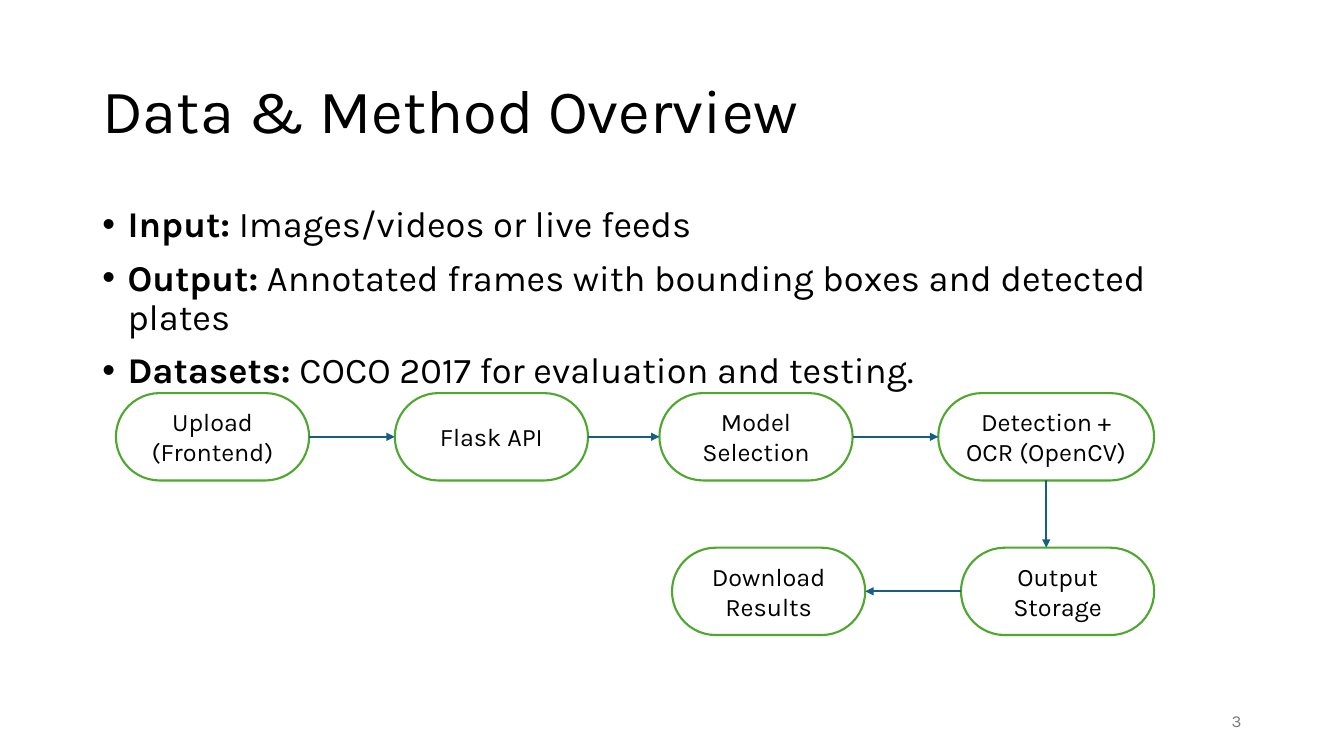
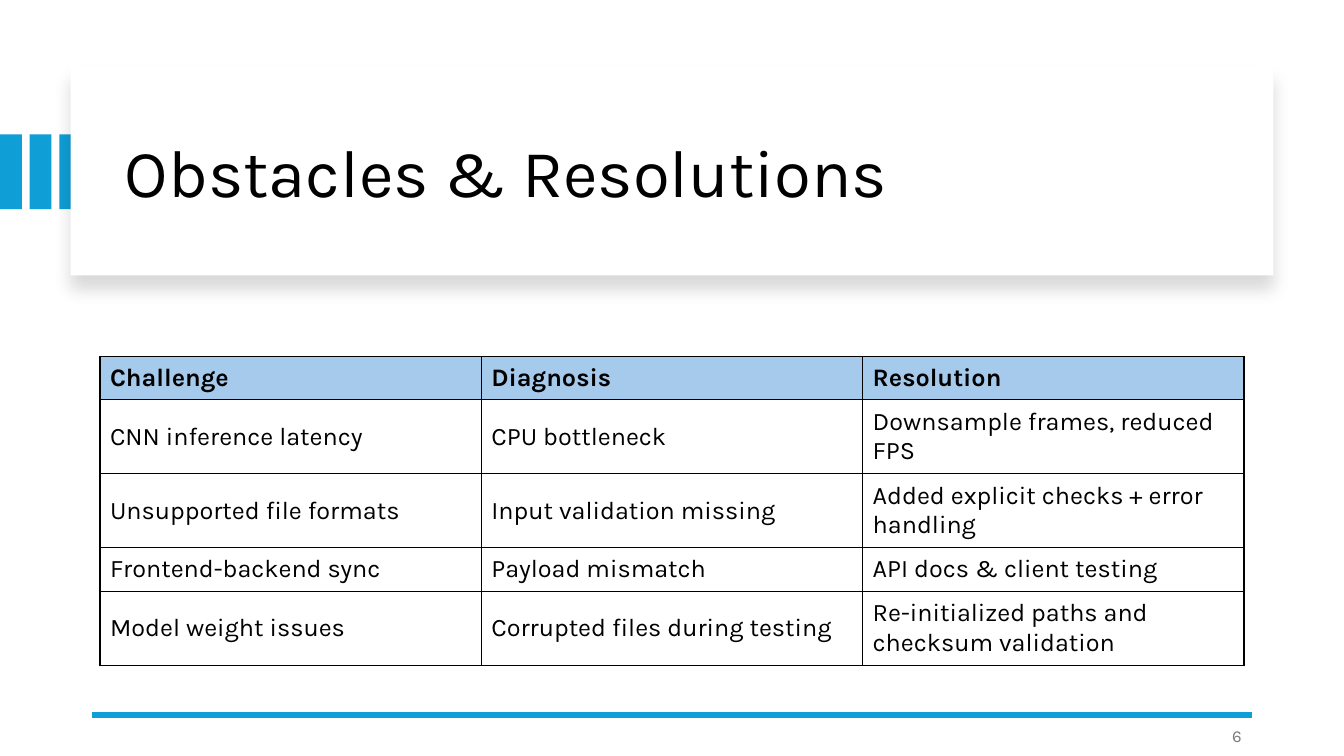
import pptx
import pptx.util
import pptx.dml.color
import pptx.enum.shapes
import pptx.enum.text
import pptx.oxml
import pptx.oxml.ns

WIDE, HIGH = 13.33, 7.5
COLS, ROWS = 80, 45
FONT = "Karla"
BLACK, WHITE, GREY = "000000", "FFFFFF", "797979"
BLUE, GREEN, TEAL, PALE = "0F9ED5", "4EA72E", "156082", "A6CAEC"
LEFT, SPAN = 5.5, 69

SHAPE = pptx.enum.shapes.MSO_SHAPE
ALIGN = pptx.enum.text.PP_ALIGN
MIDDLE = pptx.enum.text.MSO_ANCHOR.MIDDLE
TOP = pptx.enum.text.MSO_ANCHOR.TOP

POINTS = [
    ("Input:", " Images/videos or live feeds"),
    ("Output:", " Annotated frames with bounding boxes and detected plates"),
    ("Datasets:", " COCO 2017 for evaluation and testing."),
]
PILL, BROAD, TALL = 11.5, 12.85, 5.2
UPPER, LOWER = 23.4, 32.6
STEPS = [
    ("Upload (Frontend)", 6.9, UPPER, PILL),
    ("Flask API", 23.5, UPPER, PILL),
    ("Model Selection", 39.25, UPPER, PILL),
    ("Detection + OCR (OpenCV)", 55.85, UPPER, BROAD),
    ("Output Storage", 57.2, LOWER, PILL),
    ("Download Results", 40, LOWER, PILL),
]
ISSUES = [
    ("Challenge", "Diagnosis", "Resolution"),
    ("CNN inference latency", "CPU bottleneck",
     "Downsample frames, reduced FPS"),
    ("Unsupported file formats", "Input validation missing",
     "Added explicit checks + error handling"),
    ("Frontend-backend sync", "Payload mismatch",
     "API docs & client testing"),
    ("Model weight issues", "Corrupted files during testing",
     "Re-initialized paths and checksum validation"),
]


def across(n):
    """Length of n grid columns."""
    return pptx.util.Inches(n * WIDE / COLS)


def down(n):
    """Length of n grid rows."""
    return pptx.util.Inches(n * HIGH / ROWS)


def place(x, y, w, h):
    return across(x), down(y), across(w), down(h)


def color(code):
    return pptx.dml.color.RGBColor.from_string(code)


def node(parent, xml):
    """Append an element given as XML in the a: namespace."""
    head, rest = xml[:-2].partition(" ")[::2]
    space = pptx.oxml.ns.nsdecls("a")
    item = pptx.oxml.parse_xml(f"{head} {space} {rest}/>")
    parent.append(item)
    return item


def write(para, text, size, code=BLACK, bold=False):
    run = para.add_run()
    run.text = text
    run.font.name = FONT
    run.font.size = pptx.util.Pt(size)
    run.font.bold = bold
    run.font.color.rgb = color(code)


def box(slide, area, anchor=MIDDLE):
    frame = slide.shapes.add_textbox(*place(*area)).text_frame
    frame.word_wrap = True
    frame.vertical_anchor = anchor
    return frame


def title(slide, text, area, size):
    para = box(slide, area).paragraphs[0]
    para.line_spacing = 0.9
    write(para, text, size)


def number(slide, text, y):
    para = box(slide, (56.5, y, 18, 2.4)).paragraphs[0]
    para.alignment = ALIGN.RIGHT
    write(para, text, 12, GREY)


def bullets(slide, items, area):
    frame = box(slide, area, TOP)
    for i, (lead, text) in enumerate(items):
        para = frame.add_paragraph() if i else frame.paragraphs[0]
        prop = para._p.get_or_add_pPr()
        prop.set("marL", "228600")
        prop.set("indent", "-228600")
        node(prop, '<a:buFont typeface="Arial"/>')
        node(prop, '<a:buChar char="•"/>')
        para.line_spacing = 0.9
        if i:
            para.space_before = pptx.util.Pt(10)
        write(para, lead, 25.9, bold=True)
        write(para, text, 25.9)


def block(slide, area, fill, kind=SHAPE.RECTANGLE):
    shape = slide.shapes.add_shape(kind, *place(*area))
    shape.shadow.inherit = False
    shape.fill.solid()
    shape.fill.fore_color.rgb = color(fill)
    shape.line.fill.background()
    return shape


def pill(slide, text, x, y, w):
    shape = block(slide, (x, y, w, TALL), WHITE, SHAPE.ROUNDED_RECTANGLE)
    shape.adjustments[0] = 0.5
    shape.line.color.rgb = color(GREEN)
    shape.line.width = pptx.util.Pt(1.5)
    frame = shape.text_frame
    frame.word_wrap = True
    frame.vertical_anchor = MIDDLE
    para = frame.paragraphs[0]
    para.alignment = ALIGN.CENTER
    write(para, text, 18)
    return shape


def line(slide, start, end, code, width):
    kind = pptx.enum.shapes.MSO_CONNECTOR.STRAIGHT
    link = slide.shapes.add_connector(kind, *start, *end)
    link.line.color.rgb = color(code)
    link.line.width = pptx.util.Pt(width)
    node(link._element.spPr, "<a:effectLst/>")
    return link


def arrow(slide, start, end):
    link = line(slide, start, end, TEAL, 1.5)
    stroke = link._element.spPr.find(pptx.oxml.ns.qn("a:ln"))
    node(stroke, '<a:tailEnd type="triangle"/>')
    return link


def join(slide, one, out, two, into):
    """Arrow from side out of one to side into of two."""
    link = arrow(slide, (0, 0), (0, 0))
    link.begin_connect(one, out)
    link.end_connect(two, into)


def drop(slide, one, two):
    """Upright arrow from the foot of one to the top of two."""
    x = one.left + one.width // 2
    link = arrow(slide, (x, one.top + one.height), (x, two.top))
    link.begin_connect(one, 2)


def card(slide, area):
    shape = block(slide, area, WHITE)
    effects = shape._element.spPr.find(pptx.oxml.ns.qn("a:effectLst"))
    shade = node(effects, '<a:outerShdw blurRad="139700" dist="127000"'
                          ' dir="5400000" algn="t" rotWithShape="0"/>')
    tint = node(shade, f'<a:srgbClr val="{BLACK}"/>')
    node(tint, '<a:alpha val="15000"/>')


def border(cell):
    prop = cell._tc.get_or_add_tcPr()
    for side in "LRTB":
        edge = node(prop, f'<a:ln{side} w="12700"/>')
        fill = node(edge, "<a:solidFill/>")
        node(fill, f'<a:srgbClr val="{BLACK}"/>')


def grid(slide, rows, x, y, col, heights):
    wide = len(rows[0])
    area = place(x, y, col * wide, sum(heights))
    table = slide.shapes.add_table(len(rows), wide, *area).table
    table.first_row = table.horz_banding = False
    for r, texts in enumerate(rows):
        table.rows[r].height = down(heights[r])
        for c, text in enumerate(texts):
            cell = table.cell(r, c)
            border(cell)
            if r:
                cell.fill.background()
            else:
                cell.fill.solid()
                cell.fill.fore_color.rgb = color(PALE)
            cell.vertical_anchor = MIDDLE
            write(cell.text_frame.paragraphs[0], text, 18, bold=r == 0)


def method(slide):
    title(slide, "Data & Method Overview", (LEFT, 2.4, SPAN, 8.7), 44)
    bullets(slide, POINTS, (LEFT, 12, SPAN, 10.5))
    number(slide, "3", 41.7)
    pills = [pill(slide, *step) for step in STEPS]
    for one, two in zip(pills[:3], pills[1:4]):
        join(slide, one, 3, two, 1)
    scan, store, fetch = pills[3:]
    drop(slide, scan, store)
    join(slide, store, 1, fetch, 3)


def issues(slide):
    for i in range(3):
        block(slide, (1.77 * i, 8, 1.3, 4.45), BLUE)
    card(slide, (4.2, 4, 71.6, 12.4))
    title(slide, "Obstacles & Resolutions", (6.85, 5.35, 66.8, 10.2), 48)
    y = down(42.55)
    line(slide, (across(LEFT), y), (across(LEFT + SPAN), y), BLUE, 4.5)
    number(slide, "6", 42.6)
    grid(slide, ISSUES, 5.95, 21.2, 22.7, [2.6, 4.4, 4.4, 2.6, 4.4])


def main():
    deck = pptx.Presentation()
    deck.slide_width = across(COLS)
    deck.slide_height = down(ROWS)
    for draw in (method, issues):
        draw(deck.slides.add_slide(deck.slide_layouts[6]))
    deck.save("out.pptx")


if __name__ == "__main__":
    main()
